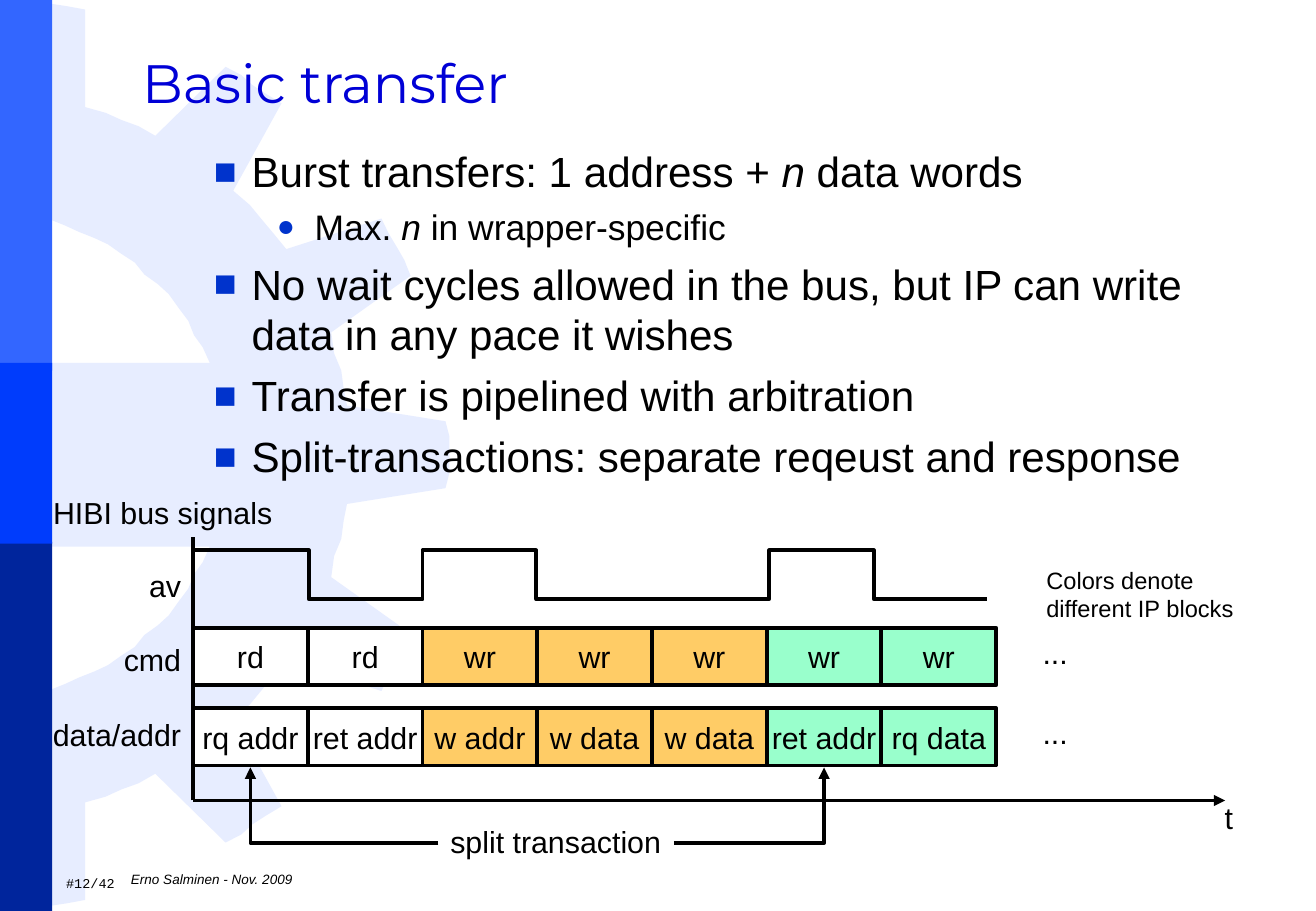
"""Build the slide on basic bus transfers with its signal timing diagram."""
from lxml import etree
from pptx import Presentation
from pptx import util as u
from pptx.dml.color import RGBColor
from pptx.enum import shapes, text
from pptx.oxml import ns

BLACK = "000000"
HEADING = "Basic transfer"
POINTS = [
    (0, "Burst transfers: 1 address + *n* data words"),
    (1, "Max. *n* in wrapper-specific"),
    (0, "No wait cycles allowed in the bus, but IP can write data in any pace it wishes"),
    (0, "Transfer is pipelined with arbitration"),
    (0, "Split-transactions: separate reqeust and response"),
]
LEVELS = [
    dict(size=25, before=6.2, margin=0.79, bullet="■", scale=90),
    dict(size=21, before=5.2, margin=2.11, bullet="●", scale=85),
]
OWNER_FILLS = {"reader": "FFFFFF", "writer": "FFCC66", "responder": "99FFCC"}
CYCLES = [
    ("rd", "rq addr", "reader"),
    ("rd", "ret addr", "reader"),
    ("wr", "w addr", "writer"),
    ("wr", "w data", "writer"),
    ("wr", "w data", "writer"),
    ("wr", "ret addr", "responder"),
    ("wr", "rq data", "responder"),
]
ROW_TOPS = (13.13, 14.81)
CYCLE_LEFT, CYCLE_WIDTH, CYCLE_HEIGHT = 4.04, 2.4, 1.2
AV_EDGES = [4.06, 6.46, 8.84, 11.22, 16.09, 18.28, 20.65]
AV_LEVELS = (11.51, 12.53)
AXIS_TOP, AXIS_Y, AXIS_END = 11.23, 16.74, 25.63
SPLIT_Y, SPLIT_TIP = 17.63, 16.05
SPLIT_ENDS = [(9.17, 0), (14.1, 5)]
SIGNALS = ["av", "cmd", "data/addr"]
LABELS = [
    ("HIBI bus signals", (0.86, 10.21, 5.08, 1.02), {}),
    ("t", (25.37, 16.59, 0.69, 1.02), {}),
    ("split transaction", (9.17, 17.09, 4.9, 1.02), {}),
    ("Colors denote different IP blocks", (21.64, 11.71, 5.03, 1.45), dict(size=14, wrap=True)),
    ("#12/42", (1.35, 18.14, 1.09, 0.66),
     dict(size=8, font="Courier New", align="CENTER", anchor="MIDDLE")),
    ("Erno Salminen - Nov. 2009", (2.49, 18.06, 23.85, 0.66),
     dict(size=8, italic=True, anchor="MIDDLE", wrap=True)),
] + [("...", (21.56, top, 1.04, 1.02), {}) for top in ROW_TOPS]
SIDE_BANDS = [("3366FF", 0, 7.75), ("00259C", 11.33, 7.72), ("003CFC", 7.59, 3.78)]
GEAR_HEIGHT = 19.02
GEAR_UPPER = [
    (9.4, 9.12), (9.32, 8.81), (7.26, 8.48), (7.19, 8.13), (7.14, 7.75), (6.99, 7.39),
    (6.93, 6.95), (8.59, 5.77), (8.46, 5.44), (8.31, 5.18), (8.13, 4.88), (7.98, 4.57),
    (5.99, 5.21), (5.72, 4.88), (5.46, 4.57), (5.23, 4.29), (4.88, 3.99), (5.89, 2.16),
    (5.56, 1.96), (5.28, 1.78), (5.05, 1.57), (4.72, 1.4), (3.25, 2.84), (2.9, 2.64),
    (2.54, 2.51), (2.21, 2.36), (1.78, 2.24), (1.78, 0.2), (1.4, 0.13), (1.07, 0.08),
    (0.74, 0.03), (0.36, 0), (0.36, 4.47), (0.71, 4.57), (1.07, 4.6), (1.37, 4.72),
    (1.65, 4.85), (1.98, 4.98), (2.26, 5.11), (2.54, 5.31), (2.82, 5.49), (3.02, 5.74),
    (3.3, 5.94), (3.53, 6.15), (3.73, 6.43), (3.94, 6.71), (4.06, 7.01), (4.24, 7.26),
    (4.39, 7.59), (0, 7.59),
]


def cms(values):
    return [u.Cm(value) for value in values]


def colour(hex_code):
    return RGBColor.from_string(hex_code)


def place(part, box):
    part.left, part.top, part.width, part.height = cms(box)


def write(part, words, size=18, font="Arial", ink=BLACK, align="LEFT", anchor="TOP",
          italic=False, wrap=False, before=0, first=True):
    """Write one paragraph, with words between asterisks in italics, and return it."""
    frame = part.text_frame
    frame.auto_size = text.MSO_AUTO_SIZE.NONE
    frame.word_wrap = wrap
    frame.vertical_anchor = getattr(text.MSO_ANCHOR, anchor)
    paragraph = frame.paragraphs[0] if first else frame.add_paragraph()
    paragraph.alignment = getattr(text.PP_ALIGN, align)
    paragraph.space_before = u.Pt(0 if first else before)
    for index, piece in enumerate(words.split("*")):
        run = paragraph.add_run()
        run.text = piece
        run.font.size, run.font.name = u.Pt(size), font
        run.font.italic = italic or index % 2 == 1
        run.font.color.rgb = colour(ink)
    return paragraph


def add_bullet(paragraph, margin, bullet, scale):
    props = paragraph._p.get_or_add_pPr()
    props.set("marL", str(u.Cm(margin)))
    props.set("indent", str(u.Cm(-0.79)))
    tint = etree.SubElement(props, ns.qn("a:buClr"))
    etree.SubElement(tint, ns.qn("a:srgbClr"), val="0033CC")
    etree.SubElement(props, ns.qn("a:buSzPct"), val=str(scale * 1000))
    etree.SubElement(props, ns.qn("a:buFont"), typeface="Arial")
    etree.SubElement(props, ns.qn("a:buChar"), char=bullet)


def style(part, fill=None, outline=None):
    part.shadow.inherit = False
    if fill:
        part.fill.solid()
        part.fill.fore_color.rgb = colour(fill)
    else:
        part.fill.background()
    if outline:
        part.line.color.rgb, part.line.width = colour(outline), u.Pt(2.25)
    else:
        part.line.fill.background()


def add_outline(slide, points, close):
    start, *rest = [cms(point) for point in points]
    builder = slide.shapes.build_freeform(*start)
    builder.add_line_segments(rest, close=close)
    return builder.convert_to_shape()


def add_rect(slide, box, **look):
    rect = slide.shapes.add_shape(shapes.MSO_SHAPE.RECTANGLE, *cms(box))
    style(rect, **look)
    return rect


def add_line(slide, ends, bent=False, arrow=True):
    kind = shapes.MSO_CONNECTOR.ELBOW if bent else shapes.MSO_CONNECTOR.STRAIGHT
    line = slide.shapes.add_connector(kind, *cms(ends))
    line.line.color.rgb, line.line.width = colour(BLACK), u.Pt(2.25)
    props = line.element.spPr
    if bent:
        props.find(ns.qn("a:prstGeom")).set("prst", "bentConnector2")
    if arrow:
        etree.SubElement(props.find(ns.qn("a:ln")), ns.qn("a:tailEnd"), type="triangle")
    etree.SubElement(props, ns.qn("a:effectLst"))


def add_backdrop(slide):
    lower = [(x, GEAR_HEIGHT - y) for x, y in reversed(GEAR_UPPER)]
    style(add_outline(slide, GEAR_UPPER + lower, True), fill="E7EDFF")
    for fill, top, height in SIDE_BANDS:
        add_rect(slide, (0, top, 1.09, height), fill=fill)


def fill_placeholders(slide):
    title, body = slide.placeholders
    for part in (title, body):
        part.element.getparent().append(part.element)
    place(title, (2.72, 0.91, 24.05, 1.6))
    write(title, HEADING, size=32, font="Montserrat", ink="0000D6", anchor="MIDDLE", wrap=True)
    place(body, (4.22, 2.92, 22.1, 7.9))
    for index, (level, words) in enumerate(POINTS):
        look = LEVELS[level]
        paragraph = write(body, words, size=look["size"], before=look["before"],
                          wrap=True, first=index == 0)
        paragraph.level = level
        add_bullet(paragraph, look["margin"], look["bullet"], look["scale"])


def add_timing(slide):
    add_line(slide, (CYCLE_LEFT, AXIS_Y, AXIS_END, AXIS_Y))
    add_line(slide, (CYCLE_LEFT, AXIS_Y, CYCLE_LEFT, AXIS_TOP), arrow=False)
    for column, (command, data, owner) in enumerate(CYCLES):
        left = CYCLE_LEFT + column * CYCLE_WIDTH
        for top, words in zip(ROW_TOPS, (command, data)):
            cell = add_rect(slide, (left, top, CYCLE_WIDTH, CYCLE_HEIGHT),
                            fill=OWNER_FILLS[owner], outline=BLACK)
            write(cell, words, align="CENTER", anchor="MIDDLE")
    wave = [(x, AV_LEVELS[step % 2])
            for step, span in enumerate(zip(AV_EDGES, AV_EDGES[1:])) for x in span]
    style(add_outline(slide, wave, False), outline=BLACK)
    for start, column in SPLIT_ENDS:
        target = CYCLE_LEFT + (column + 0.5) * CYCLE_WIDTH
        add_line(slide, (start, SPLIT_Y, target, SPLIT_TIP), bent=True)


def add_labels(slide):
    signals = slide.shapes.add_textbox(*cms((0.86, 11.73, 3.18, 4.06)))
    for index, signal in enumerate(SIGNALS):
        write(signals, signal, align="RIGHT", before=22.6, first=index == 0)
    for words, box, look in LABELS:
        write(slide.shapes.add_textbox(*cms(box)), words, **look)


def main():
    deck = Presentation()
    deck.slide_width, deck.slide_height = cms((27.53, 19.05))
    slide = deck.slides.add_slide(deck.slide_layouts[1])
    add_backdrop(slide)
    fill_placeholders(slide)
    add_timing(slide)
    add_labels(slide)
    deck.save("out.pptx")


if __name__ == "__main__":
    main()
